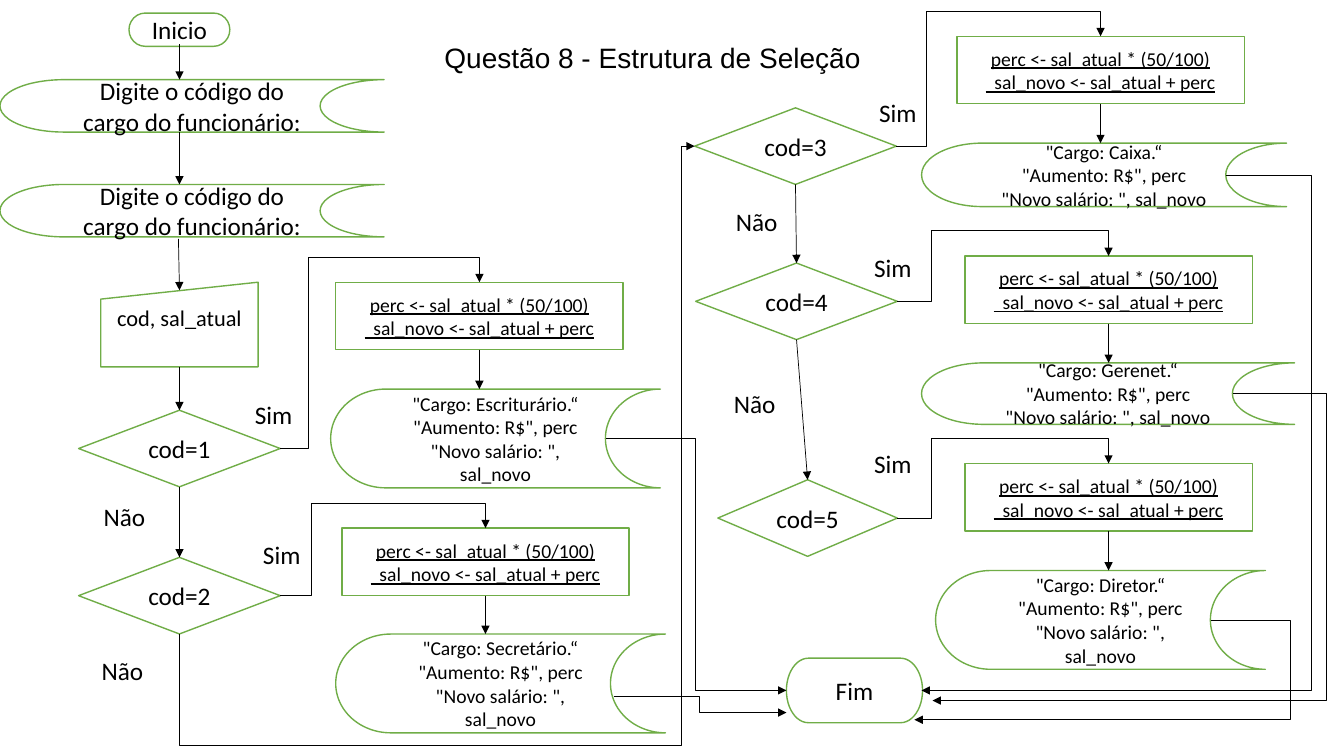
from dataclasses import dataclass
from typing import Optional

from lxml.etree import SubElement
from pptx import Presentation
from pptx.dml.color import RGBColor
from pptx.enum.shapes import MSO_CONNECTOR, MSO_SHAPE
from pptx.enum.text import MSO_ANCHOR, MSO_AUTO_SIZE, PP_ALIGN
from pptx.oxml.ns import qn
from pptx.util import Inches, Pt

BLACK, WHITE, GREEN = "000000", "FFFFFF", "70AD47"
RISE = 0.25
STEP_W, STEP_H = 2.85, 0.67
TEST_H = 0.76
ASK = "Digite o código do cargo do funcionário:"
STEP = "perc <- sal_atual * (50/100)\n  sal_novo <- sal_atual + perc"
SHOW = '"Cargo: {}.“\n"Aumento: R$", perc\n"Novo salário: ", sal_novo'


@dataclass
class Box:
    x: float
    y: float
    w: float
    h: float


@dataclass
class Case:
    role: str
    test: Box
    step: tuple[float, float]
    show: Box
    bend: float
    yes: tuple[float, float]


@dataclass
class Bend:
    start: tuple[float, float]
    end: tuple[float, float]
    x: float
    y: Optional[float] = None
    tip: str = "tailEnd"


CASES = [
    Case("Escriturário", Box(0.78, 4.07, 2, TEST_H), (3.33, 2.8),
         Box(3.28, 3.86, 3.27, 0.98), 3.06, (2.43, 3.91)),
    Case("Secretário", Box(0.78, 5.53, 2, TEST_H), (3.39, 5.24),
         Box(3.33, 6.29, 3.27, 0.98), 3.09, (2.51, 5.3)),
    Case("Caixa", Box(6.89, 1.07, 2, TEST_H), (9.49, 0.36),
         Box(9.14, 1.42, 3.62, 0.63), 9.19, (8.62, 0.92)),
    Case("Gerenet", Box(6.9, 2.61, 2, TEST_H), (9.57, 2.54),
         Box(9.14, 3.6, 3.7, 0.61), 9.24, (8.57, 2.45)),
    Case("Diretor", Box(7.12, 4.76, 1.78, TEST_H), (9.57, 4.6),
         Box(9.28, 5.66, 3.27, 0.98), 9.24, (8.57, 4.4)),
]

NOES = [(0.93, 4.92), (0.91, 6.45), (7.2, 2), (7.18, 3.8)]

ARROWS = [
    ((1.78, 0.44), (1.78, 0.79)),
    ((1.78, 1.31), (1.78, 1.83)),
    ((1.77, 2.37), (1.78, 2.88)),
    ((1.78, 3.64), (1.78, 4.07)),
    ((1.78, 4.83), (1.78, 5.53)),
    ((7.89, 1.83), (7.9, 2.61)),
    ((7.9, 3.37), (8.01, 4.76)),
]

BENDS = [
    # From the second test up to the third, drawn from its tip
    Bend((6.89, 1.45), (1.78, 6.29), 6.76, 7.4, "headEnd"),
    # Every result to the end
    Bend((12.16, 1.74), (9.14, 6.85), 13.01),
    Bend((12.23, 3.9), (9.25, 6.95), 13.16),
    Bend((12.01, 6.15), (9.07, 7.14), 12.8),
    Bend((6.01, 4.35), (7.8, 6.85), 6.9),
    Bend((6.09, 6.91), (7.8, 7.07), 6.94),
]

deck = Presentation()
deck.slide_width, deck.slide_height = Inches(13.33), Inches(7.5)
slide = deck.slides.add_slide(deck.slide_layouts[6])
shapes = slide.shapes


def tint(code: str) -> RGBColor:
    return RGBColor.from_string(code)


def write(frame, text: str, size: float, align, font: str = "Calibri",
          under: Optional[bool] = None) -> None:
    frame.text = text
    for line in frame.paragraphs:
        line.alignment = align
        for run in line.runs:
            run.font.name = font
            run.font.size = Pt(size)
            run.font.underline = under
            run.font.color.rgb = tint(BLACK)


def draw(kind, box: Box, text: str, size: float = 18,
         under: Optional[bool] = None):
    shape = shapes.add_shape(kind, Inches(box.x), Inches(box.y),
                             Inches(box.w), Inches(box.h))
    shape.shadow.inherit = False
    shape.fill.solid()
    shape.fill.fore_color.rgb = tint(WHITE)
    shape.line.color.rgb = tint(GREEN)
    shape.line.width = Pt(1)
    frame = shape.text_frame
    frame.word_wrap = True
    frame.vertical_anchor = MSO_ANCHOR.MIDDLE
    write(frame, text, size, PP_ALIGN.CENTER, under=under)
    return shape


def label(box: Box, text: str, size: float = 18, font: str = "Calibri") -> None:
    frame = shapes.add_textbox(Inches(box.x), Inches(box.y),
                               Inches(box.w), Inches(box.h)).text_frame
    frame.word_wrap = False
    frame.auto_size = MSO_AUTO_SIZE.SHAPE_TO_FIT_TEXT
    write(frame, text, size, PP_ALIGN.LEFT, font)


def arrow(start: tuple[float, float], end: tuple[float, float],
          kind=MSO_CONNECTOR.STRAIGHT, tip: str = "tailEnd"):
    link = shapes.add_connector(kind, *map(Inches, start + end))
    link.line.color.rgb = tint(BLACK)
    link.line.width = Pt(0.5)
    props = link._element.spPr
    SubElement(props.find(qn("a:ln")), qn(f"a:{tip}"), type="triangle")
    SubElement(props, qn("a:effectLst"))
    return link


def elbow(bend: Bend) -> None:
    link = arrow(bend.start, bend.end, MSO_CONNECTOR.ELBOW, bend.tip)
    (left, top), (right, low) = bend.start, bend.end
    turns = [(bend.x - left) / (right - left)]
    if bend.y is not None:
        turns.append((bend.y - top) / (low - top))
    geom = link._element.spPr.find(qn("a:prstGeom"))
    geom.set("prst", f"bentConnector{len(turns) + 2}")
    for num, turn in enumerate(turns, 1):
        SubElement(geom.find(qn("a:avLst")), qn("a:gd"), name=f"adj{num}",
                   fmla=f"val {round(turn * 100000)}")


# Title, start and end
label(Box(4.31, 0.35, 4.44, 0.44), "Questão 8 - Estrutura de Seleção", 20, "Arial")
draw(MSO_SHAPE.FLOWCHART_TERMINATOR, Box(1.28, 0.13, 1, 0.33), "Inicio")
draw(MSO_SHAPE.FLOWCHART_TERMINATOR, Box(7.8, 6.53, 1.35, 0.64), "Fim")

# Prompts and input
for y in (0.79, 1.83):
    draw(MSO_SHAPE.FLOWCHART_STORED_DATA, Box(0, y, 3.81, 0.52), ASK)
entry = draw(MSO_SHAPE.FLOWCHART_MANUAL_INPUT, Box(1, 2.8, 1.56, 0.84),
             "cod, sal_atual", 16)
entry.text_frame.margin_bottom = Inches(0.35)

# One test, step and result per case
for code, case in enumerate(CASES, 1):
    test, (x, y) = case.test, case.step
    mid = x + STEP_W / 2
    draw(MSO_SHAPE.FLOWCHART_DECISION, test, f"cod={code}")
    draw(MSO_SHAPE.FLOWCHART_STORED_DATA, case.show, SHOW.format(case.role), 14)
    draw(MSO_SHAPE.FLOWCHART_PROCESS, Box(x, y, STEP_W, STEP_H), STEP, 14, True)
    elbow(Bend((test.x + test.w, test.y + test.h / 2), (mid, y),
               case.bend, y - RISE))
    arrow((mid, y + STEP_H), (mid, case.show.y))
    label(Box(*case.yes, 0.58, 0.4), "Sim")

# Other links
for start, end in ARROWS:
    arrow(start, end)
for bend in BENDS:
    elbow(bend)
for spot in NOES:
    label(Box(*spot, 0.62, 0.4), "Não")

deck.save("out.pptx")
